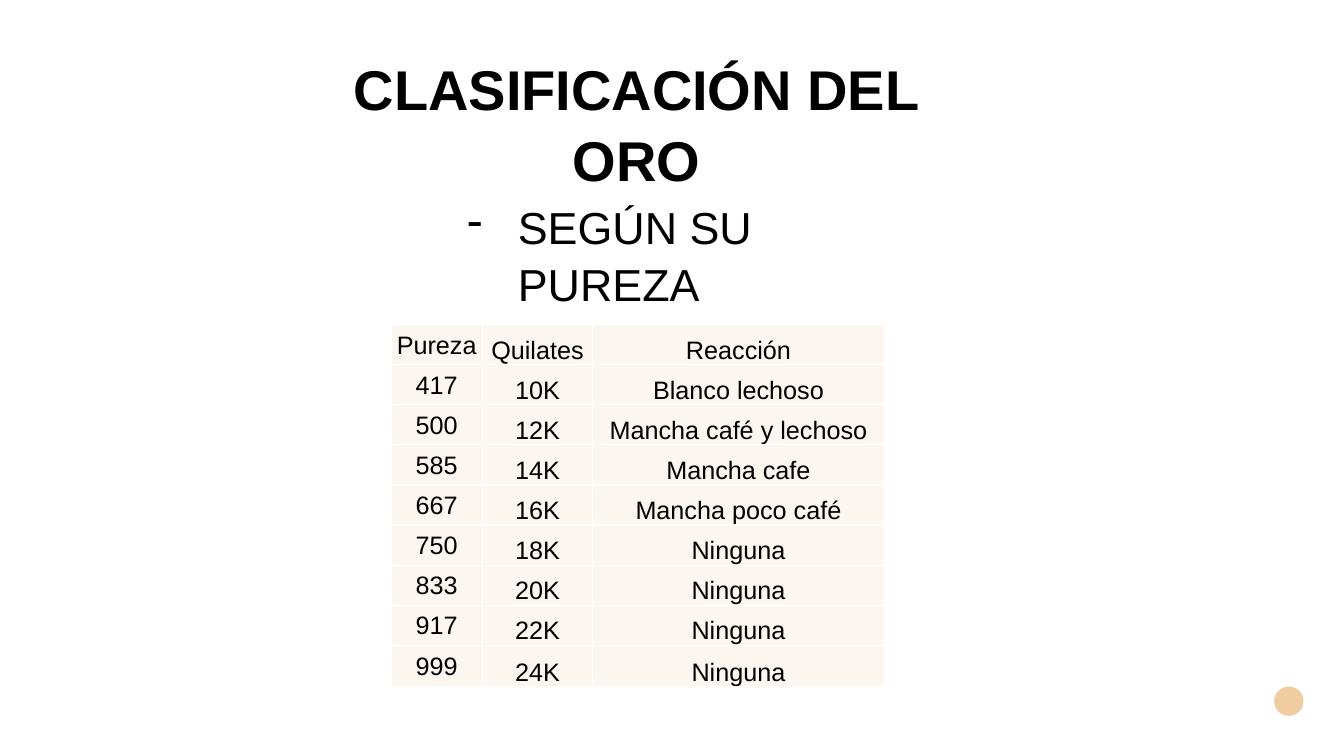
from lxml import etree
from pptx import Presentation
from pptx import util as u
from pptx.dml import color as dml
from pptx.enum import shapes, text
from pptx.oxml import ns

ROWS = [
    ("Pureza", "Quilates", "Reacción"),
    ("417", "10K", "Blanco lechoso"),
    ("500", "12K", "Mancha café y lechoso"),
    ("585", "14K", "Mancha cafe"),
    ("667", "16K", "Mancha poco café"),
    ("750", "18K", "Ninguna"),
    ("833", "20K", "Ninguna"),
    ("917", "22K", "Ninguna"),
    ("999", "24K", "Ninguna"),
]


def rgb(value):
    return dml.RGBColor.from_string(value)


def write(frame, words, size=18, bold=False, align=text.PP_ALIGN.CENTER,
          spacing=None, bullet=None, indent=0):
    paragraph = frame.paragraphs[0]
    paragraph.text = words
    paragraph.alignment = align
    if spacing:
        paragraph.line_spacing = spacing
    if bullet:
        properties = paragraph._p.get_or_add_pPr()
        properties.set("marL", str(u.Cm(indent)))
        properties.set("indent", str(-u.Cm(indent)))
        etree.SubElement(properties, ns.qn("a:buChar"), char=bullet)
    font = paragraph.runs[0].font
    font.name, font.size, font.bold = Style.font, u.Pt(size), bold
    font.color.rgb = rgb(Style.ink)


class Style:
    """Holds the look of the slide and adds its elements."""

    font = "Arial"
    ink = "000000"
    cell = "FCF6F0"
    border = "FFFFFF"
    accent = "F0CDA1"

    def __init__(self, slide):
        self.slide = slide

    def fit(self, frame):
        frame.word_wrap = True
        frame.auto_size = text.MSO_AUTO_SIZE.SHAPE_TO_FIT_TEXT
        frame.vertical_anchor = text.MSO_ANCHOR.TOP

    def title(self, words, left, top, width, height):
        shape = self.slide.shapes.title
        shape.left, shape.top = u.Cm(left), u.Cm(top)
        shape.width, shape.height = u.Cm(width), u.Cm(height)
        self.fit(shape.text_frame)
        write(shape.text_frame, words, size=40, bold=True, spacing=1.05)

    def subtitle(self, words, left, top, width, height):
        shape = self.slide.shapes.add_textbox(*map(u.Cm, (left, top, width, height)))
        self.fit(shape.text_frame)
        write(shape.text_frame, words, size=32, align=text.PP_ALIGN.LEFT,
              spacing=1.05, bullet="-", indent=1.27)

    def dot(self, left, top, diameter):
        shape = self.slide.shapes.add_shape(
            shapes.MSO_SHAPE.OVAL, *map(u.Cm, (left, top, diameter, diameter)))
        shape.shadow.inherit = False
        shape.fill.solid()
        shape.fill.fore_color.rgb = rgb(self.accent)
        shape.line.fill.background()

    def outline(self, cell):
        properties = cell._tc.get_or_add_tcPr()
        for side in ("lnL", "lnR", "lnT", "lnB"):
            line = etree.SubElement(properties, ns.qn(f"a:{side}"), w=str(u.Pt(1)))
            fill = etree.SubElement(line, ns.qn("a:solidFill"))
            etree.SubElement(fill, ns.qn("a:srgbClr"), val=self.border)

    def table(self, rows, left, top, widths, heights):
        table = self.slide.shapes.add_table(
            len(rows), len(widths),
            *map(u.Cm, (left, top, sum(widths), sum(heights)))).table
        table.first_row = table.horz_banding = False
        for column, width in zip(table.columns, widths):
            column.width = u.Cm(width)
        for row, height, values in zip(table.rows, heights, rows):
            row.height = u.Cm(height)
            for index, (cell, value) in enumerate(zip(row.cells, values)):
                self.outline(cell)
                cell.fill.solid()
                cell.fill.fore_color.rgb = rgb(self.cell)
                cell.margin_left = cell.margin_right = cell.margin_top = u.Cm(0.03)
                cell.margin_bottom = 0
                cell.vertical_anchor = (
                    text.MSO_ANCHOR.BOTTOM if index else text.MSO_ANCHOR.MIDDLE)
                write(cell.text_frame, value)


def main():
    presentation = Presentation()
    presentation.slide_width, presentation.slide_height = u.Cm(33.87), u.Cm(19.05)
    style = Style(presentation.slides.add_slide(presentation.slide_layouts[5]))
    style.dot(32.11, 17.3, 0.74)
    style.title("CLASIFICACIÓN DEL ORO", 8.53, 1.17, 15.01, 1.96)
    style.subtitle("SEGÚN SU PUREZA", 11.53, 4.85, 10.8, 1.63)
    style.table(ROWS, 9.86, 8.18, [2.29, 2.79, 7.34], [1.01] * 8 + [1.04])
    presentation.save("out.pptx")


if __name__ == "__main__":
    main()
